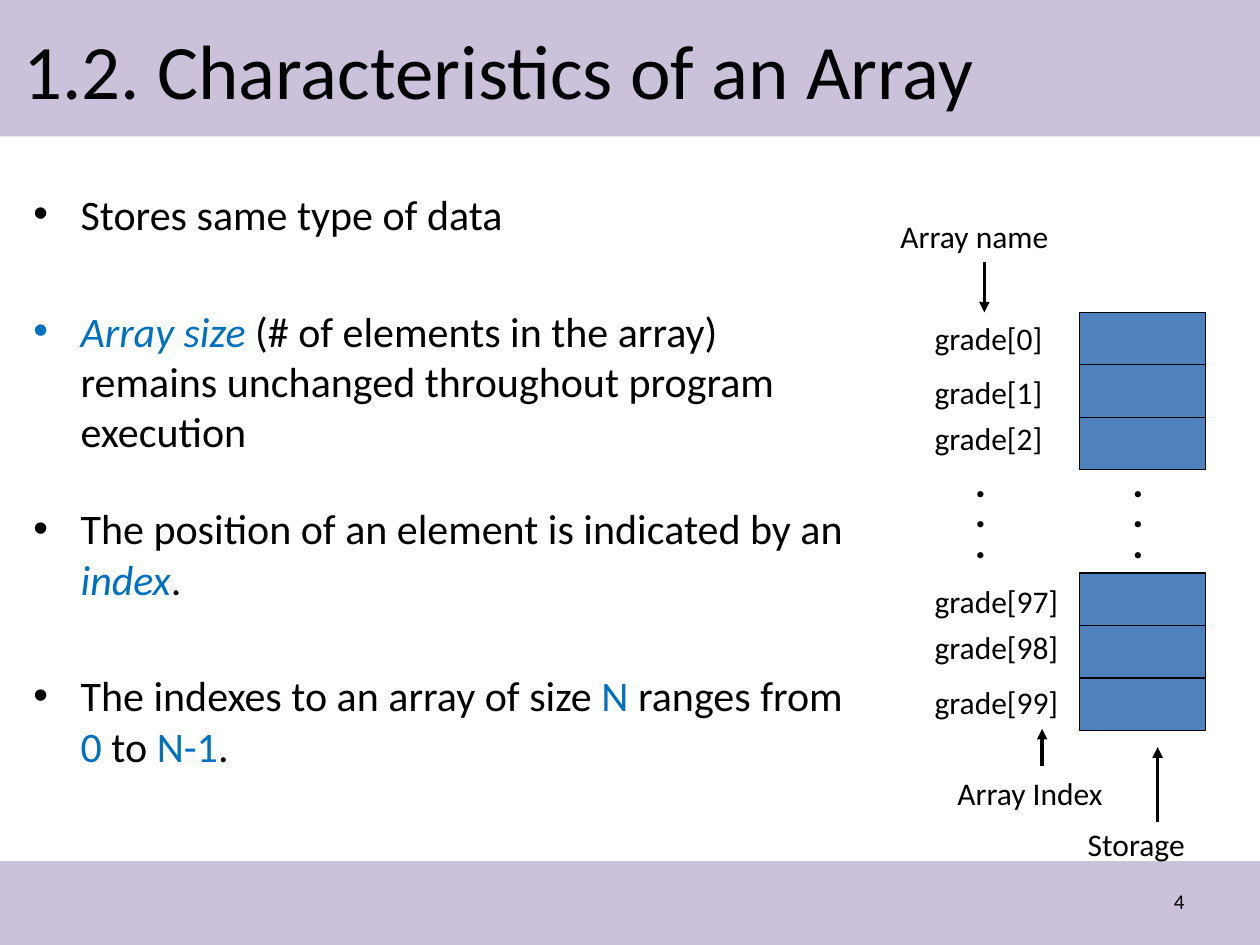
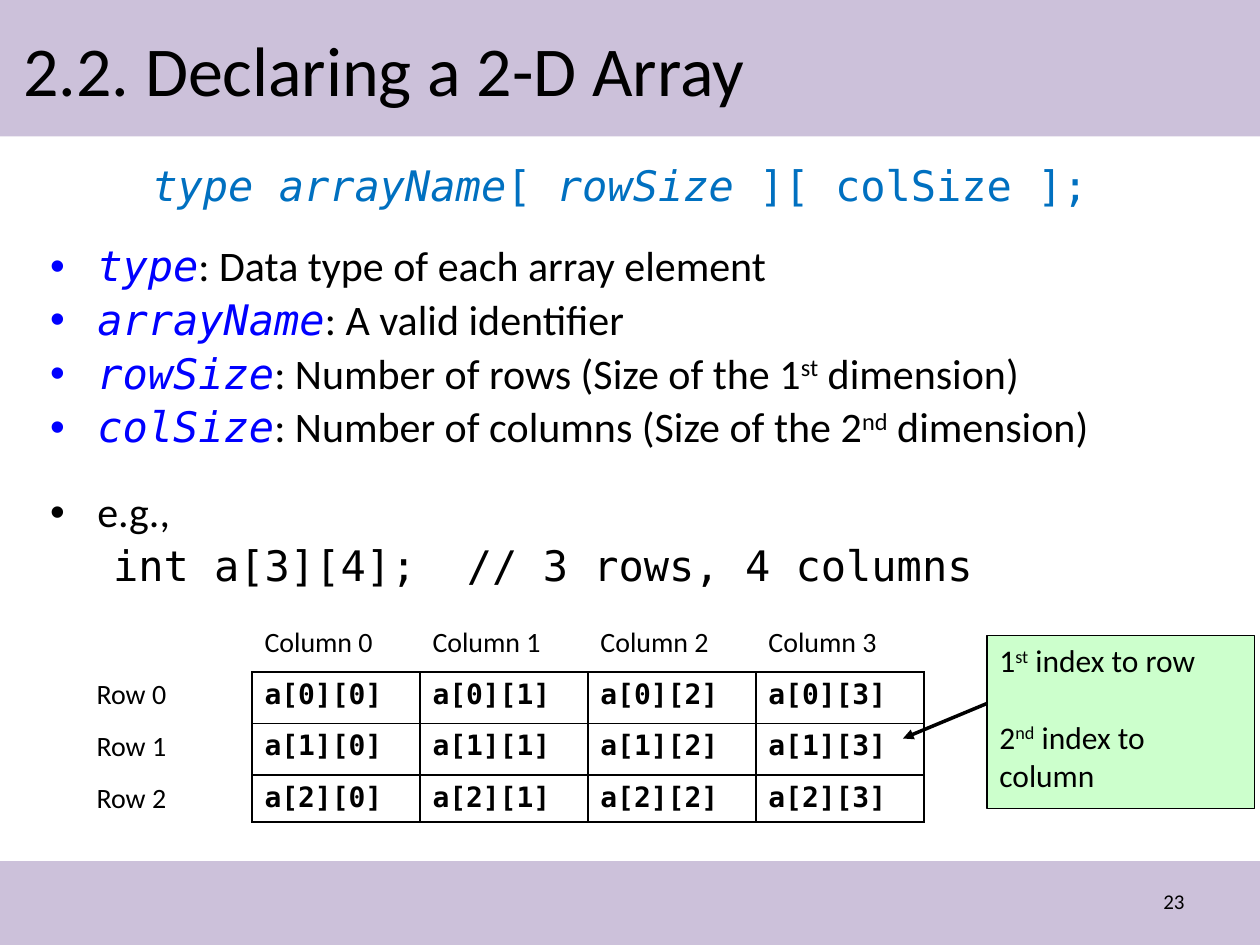
from pptx import Presentation
from pptx.dml.color import RGBColor
from pptx.enum.shapes import MSO_CONNECTOR as Connector, MSO_SHAPE as Shape
from pptx.enum.text import MSO_ANCHOR as Anchor, MSO_AUTO_SIZE as AutoSize, PP_ALIGN as Align
from pptx.oxml.ns import qn
from pptx.util import Pt
from lxml.etree import SubElement

COLORS = {
    "band": "CCC1DA",
    "text": "000000",
    "term": "0070C0",
    "keyword": "0000FF",
    "storage": "4F81BD",
    "callout": "CCFFCC",
}
SANS, MONO = "Calibri", "DejaVu Sans Mono"

TERM = {"color": "term"}
TERM_ITALIC = {"color": "term", "italic": True}
SYNTAX = {"color": "term", "name": MONO}
SYNTAX_ITALIC = SYNTAX | {"italic": True}
KEYWORD = {"color": "keyword", "name": MONO, "italic": True}
CODE = {"name": MONO}
CODE_BOLD = {"name": MONO, "bold": True}
SUPERSCRIPT = {"raised": True}


class Lecture:
    def __init__(self):
        self.deck = Presentation()
        self.deck.slide_width, self.deck.slide_height = Pt(720), Pt(540)
        self.slide = None

    def color(self, key):
        return RGBColor.from_string(COLORS[key])

    def add_slide(self, title, number, title_size):
        self.slide = self.deck.slides.add_slide(self.deck.slide_layouts[5])
        for top, height in ((0, 78), (492, 48)):
            band = self.rectangle(0, top, 720, height, "band")
            self.slide.shapes._spTree.insert(2, band._element)
        holder = self.slide.shapes.title
        holder.left, holder.top, holder.width, holder.height = Pt(6), Pt(6), Pt(700), Pt(66)
        self.fill_frame(holder.text_frame, [title], size=title_size, anchor=Anchor.MIDDLE)
        self.text(516, 500.5, 168, 29, [str(number)], size=12,
                  anchor=Anchor.MIDDLE, align=Align.RIGHT)

    def format_span(self, span, size, style):
        values = {"name": SANS, "size": Pt(size), "bold": False, "italic": False} | style
        span.font.color.rgb = self.color(values.pop("color", "text"))
        if values.pop("raised", False):
            span._r.get_or_add_rPr().set("baseline", "30000")
        for name, value in values.items():
            setattr(span.font, name, value)

    def fill_para(self, para, content, size, style=None, **layout):
        """Write a string, or a list of strings and (string, style) pairs."""
        for part in [content] if isinstance(content, str) else content:
            words, own_style = (part, style or {}) if isinstance(part, str) else part
            span = para.add_run()
            span.text = words
            self.format_span(span, size, own_style)
        for name, value in ({"alignment": Align.LEFT} | layout).items():
            setattr(para, name, value)

    def fill_frame(self, frame, lines, size, wrap=True, anchor=Anchor.TOP,
                   align=Align.LEFT, spacing=None, gap=0, style=None):
        settings = {"word_wrap": wrap, "auto_size": AutoSize.NONE, "vertical_anchor": anchor}
        for name, value in settings.items():
            setattr(frame, name, value)
        for index, line in enumerate(lines):
            para = frame.add_paragraph() if index else frame.paragraphs[0]
            self.fill_para(para, line, size, style, alignment=align, line_spacing=spacing,
                           space_before=Pt(gap if index else 0))

    def text(self, left, top, width, height, lines, size=18, **options):
        box = self.slide.shapes.add_textbox(Pt(left), Pt(top), Pt(width), Pt(height))
        self.fill_frame(box.text_frame, lines, size, **options)
        return box

    def label(self, left, top, words):
        self.text(left, top, 100, 29, [words], wrap=False)

    def body(self, left, top, width, height, items, spacing=1.0):
        """Write (gap before, indent, content) items; an indent of None gives a bullet."""
        frame = self.text(left, top, width, height, []).text_frame
        for index, (gap, indent, content) in enumerate(items):
            para = frame.add_paragraph() if index else frame.paragraphs[0]
            self.fill_para(para, content, 24, space_before=Pt(gap), line_spacing=spacing)
            props = para._p.get_or_add_pPr()
            bulleted = indent is None
            props.set("marL", str(Pt(27 if bulleted else indent)))
            props.set("indent", str(Pt(-27 if bulleted else 0)))
            if bulleted:
                SubElement(props, qn("a:buFont"), typeface="Arial")
                SubElement(props, qn("a:buChar"), char="•")

    def rectangle(self, left, top, width, height, fill, outlined=False):
        box = self.slide.shapes.add_shape(
            Shape.RECTANGLE, Pt(left), Pt(top), Pt(width), Pt(height))
        box.shadow.inherit = False
        box.fill.solid()
        box.fill.fore_color.rgb = self.color(fill)
        if outlined:
            box.line.color.rgb = self.color("text")
            box.line.width = Pt(0.75)
        else:
            box.line.fill.background()
        return box

    def arrow(self, x1, y1, x2, y2):
        line = self.slide.shapes.add_connector(
            Connector.STRAIGHT, Pt(x1), Pt(y1), Pt(x2), Pt(y2))
        line.line.color.rgb = self.color("text")
        line.line.width = Pt(2)
        SubElement(line.line._get_or_add_ln(), qn("a:tailEnd"), type="triangle")
        SubElement(line._element.spPr, qn("a:effectLst"))

    def border(self, cell, sides):
        for side in sides:
            edge = SubElement(cell._tc.get_or_add_tcPr(), qn(f"a:ln{side}"), w=str(Pt(1)))
            fill = SubElement(edge, qn("a:solidFill"))
            SubElement(fill, qn("a:srgbClr"), val=COLORS["text"])

    def index_table(self, left, top, column_width, row_heights, columns):
        """Draw a grid of array elements with row and column headings."""
        rows = len(row_heights)
        table = self.slide.shapes.add_table(
            rows, columns + 1, Pt(left), Pt(top),
            Pt(column_width * (columns + 1)), Pt(sum(row_heights))).table
        table.first_row = table.horz_banding = False
        for column in table.columns:
            column.width = Pt(column_width)
        for row, height in enumerate(row_heights):
            table.rows[row].height = Pt(height)
            for col in range(columns + 1):
                cell = table.cell(row, col)
                words, style, sides = f"a[{row - 1}][{col - 1}]", CODE_BOLD, "LRTB"
                if row == 0:
                    words, style, sides = f"Column {col - 1}", {}, "B"
                elif col == 0:
                    words, style, sides = f"Row {row - 1}", {}, "R"
                if row or col:
                    self.border(cell, sides)
                    self.fill_para(cell.text_frame.paragraphs[0], words, 16, style)
                cell.fill.background()


def add_characteristics(lecture):
    lecture.add_slide("1.2. Characteristics of an Array", 4, 44)
    lecture.body(12, 104, 486, 379, [
        (0, None, "Stores same type of data"),
        (38, None, [("Array size ", TERM_ITALIC), "(# of elements in the array) remains "
                    "unchanged throughout program execution"]),
        (26.5, None, ["The position of an element is indicated by an ",
                      ("index", TERM_ITALIC), "."]),
        (38, None, ["The indexes to an array of size ", ("N", TERM), " ranges from ",
                    ("0", TERM), " to ", ("N-1", TERM), "."]),
    ])
    for first_top in (178.5, 327.5):
        for step in range(3):
            lecture.rectangle(617, first_top + 30 * step, 72, 30, "storage", outlined=True)
    element_tops = {0: 178.5, 1: 209.5, 2: 236, 97: 329, 98: 355.5, 99: 386.5}
    for index, top in element_tops.items():
        lecture.label(527, top, f"grade[{index}]")
    for left in (550, 640):
        lecture.text(left, 267, 21, 60, ["."] * 3, size=24, wrap=False, spacing=0.6,
                     style={"bold": True})
    for left, top, words in ((507.5, 120.5, "Array name"), (540, 439, "Array Index"),
                             (614.5, 468, "Storage")):
        lecture.label(left, top, words)
    for x, start, end in ((562.5, 150, 178.5), (595.5, 438, 416.5), (661.5, 469.5, 427)):
        lecture.arrow(x, start, x, end)


def add_declaration(lecture):
    lecture.add_slide("2.2. Declaring a 2-D Array", 23, 40)
    lecture.body(21.5, 91, 696, 258, [
        (0, 58.5, [("type arrayName", SYNTAX_ITALIC), ("[ ", SYNTAX),
                   ("rowSize ", SYNTAX_ITALIC), ("][ colSize ];", SYNTAX)]),
        (19.8, None, [("type", KEYWORD), ": Data type of each array element"]),
        (4.8, None, [("arrayName", KEYWORD), ": A valid identifier"]),
        (4.8, None, [("rowSize", KEYWORD), ": Number of rows (Size of the 1",
                     ("st", SUPERSCRIPT), " dimension)"]),
        (4.8, None, [("colSize", KEYWORD), ": Number of columns (Size of the 2",
                     ("nd", SUPERSCRIPT), " dimension)"]),
        (22.6, None, "e.g.,"),
        (4.8, 36, [("int a[3][4];  // 3 rows, 4 columns", CODE)]),
    ], spacing=0.9)
    lecture.index_table(48, 354, 96, (30, 29.5, 29.5, 26.5), columns=4)
    lecture.arrow(564, 402, 516, 422)
    callout = lecture.rectangle(564, 363, 153, 99, "callout", outlined=True)
    lecture.fill_frame(callout.text_frame, [
        ["1", ("st", SUPERSCRIPT), " index to row"],
        ["2", ("nd", SUPERSCRIPT), " index to column"],
    ], size=18, gap=22)


def main():
    lecture = Lecture()
    add_characteristics(lecture)
    add_declaration(lecture)
    lecture.deck.save("out.pptx")


if __name__ == "__main__":
    main()
